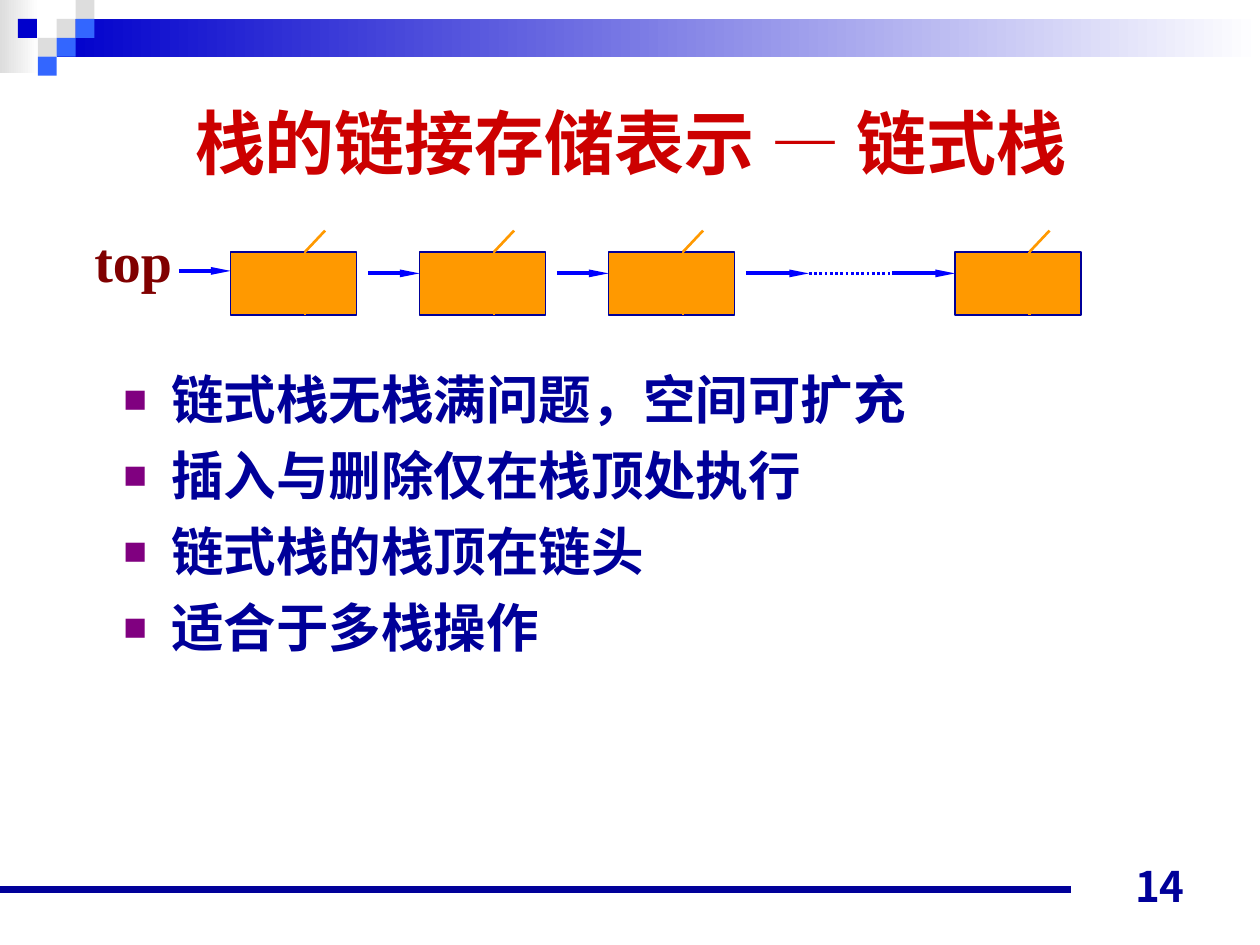
"""Build the slide on the linked representation of a stack."""
from dataclasses import dataclass

from lxml import etree
from pptx import Presentation
from pptx import util as u
from pptx.dml.color import RGBColor
from pptx.enum import dml, shapes, text
from pptx.oxml.ns import qn


@dataclass(frozen=True)
class Theme:
    white: str = "FFFFFF"
    grey: str = "DDDDDD"
    blue: str = "0000CC"
    light_blue: str = "3366FF"
    navy: str = "000099"
    red: str = "CC0000"
    maroon: str = "800000"
    purple: str = "800080"
    orange: str = "FF9900"
    arrow: str = "0000FF"
    sans: str = "Noto Sans CJK JP"
    latin: str = "Arial"
    serif: str = "Times New Roman"
    title_size: int = 40
    label_size: int = 32
    body_size: int = 30
    number_size: int = 24


theme = Theme()
prs = Presentation()
prs.slide_width, prs.slide_height = u.Inches(10), u.Inches(7.5)
slide = prs.slides.add_slide(prs.slide_layouts[6])


def add_text(lines, *, at, size, color, font, anchor=text.MSO_ANCHOR.TOP,
             align=text.PP_ALIGN.LEFT, wrap=True, bullet=None, spacing=1.0, before=0):
    frame = slide.shapes.add_textbox(*map(u.Inches, at)).text_frame
    frame.word_wrap, frame.vertical_anchor = wrap, anchor
    frame.text = lines
    for index, paragraph in enumerate(frame.paragraphs):
        paragraph.alignment, paragraph.line_spacing = align, spacing
        paragraph.space_before = u.Pt(before if index else 0)
        if bullet:
            props = paragraph._p.get_or_add_pPr()
            props.set("marL", str(u.Inches(0.38)))
            props.set("indent", str(u.Inches(-0.38)))
            tint = etree.SubElement(props, qn("a:buClr"))
            etree.SubElement(tint, qn("a:srgbClr"), val=bullet)
            etree.SubElement(props, qn("a:buSzPct"), val="75000")
            etree.SubElement(props, qn("a:buFont"), typeface=theme.latin)
            etree.SubElement(props, qn("a:buChar"), char="■")
        for run in paragraph.runs:
            run.font.size, run.font.bold, run.font.name = u.Pt(size), True, font
            run.font.color.rgb = RGBColor.from_string(color)
            etree.SubElement(run._r.get_or_add_rPr(), qn("a:ea"), typeface=theme.sans)


def add_line(x1, y1, x2, y2, color, width, arrow=False):
    line = slide.shapes.add_connector(
        shapes.MSO_CONNECTOR.STRAIGHT, *map(u.Inches, (x1, y1, x2, y2)))
    line.line.color.rgb = RGBColor.from_string(color)
    line.line.width = u.Pt(width)
    if arrow:
        etree.SubElement(line.line._get_or_add_ln(), qn("a:tailEnd"),
                         type="triangle", w="sm", len="lg")
    etree.SubElement(line._element.spPr, qn("a:effectLst"))
    return line


for left, top, width, height, color in [(0, 0, 0.31, 0.58, theme.grey),
                                        (0.45, 0.15, 9.55, 0.3, theme.blue)]:
    band = slide.shapes.add_shape(
        shapes.MSO_SHAPE.RECTANGLE, *map(u.Inches, (left, top, width, height)))
    band.shadow.inherit = False
    band.line.fill.background()
    band.fill.gradient()
    band.fill.gradient_angle = 180
    for stop, stop_color, position in zip(band.fill.gradient_stops, (theme.white, color), (0, 1)):
        stop.color.rgb = RGBColor.from_string(stop_color)
        stop.position = position

tile = 0.15
for column, row, color in [(3, 1, theme.grey), (4, 0, theme.grey), (4, 1, theme.light_blue),
                           (2, 2, theme.grey), (0.95, 1, theme.blue),
                           (3, 2, theme.light_blue), (2, 3, theme.light_blue)]:
    square = slide.shapes.add_shape(
        shapes.MSO_SHAPE.RECTANGLE,
        *map(u.Inches, (column * tile, row * tile, tile, tile)))
    square.shadow.inherit = False
    square.fill.solid()
    square.fill.fore_color.rgb = RGBColor.from_string(color)
    square.line.fill.background()

add_line(0, 7.06, 8.5, 7.06, theme.navy, 4.5)

add_text("栈的链接存储表示 — 链式栈", at=(1.45, 0.71, 7.44, 0.83), size=theme.title_size,
         color=theme.red, font=theme.sans, anchor=text.MSO_ANCHOR.MIDDLE)
add_text("链式栈无栈满问题，空间可扩充\n插入与删除仅在栈顶处执行\n链式栈的栈顶在链头\n适合于多栈操作",
         at=(0.88, 2.84, 8.25, 2.92), size=theme.body_size, color=theme.navy,
         font=theme.latin, bullet=theme.purple, spacing=1.05, before=5.6)
add_text("top", at=(0.65, 1.75, 0.82, 0.64), size=theme.label_size,
         color=theme.maroon, font=theme.serif, wrap=False)

node_top, node_height = 2, 0.5
for node_left in (1.83, 3.33, 4.83, 7.58):
    node = slide.shapes.add_shape(
        shapes.MSO_SHAPE.RECTANGLE,
        *map(u.Inches, (node_left, node_top, 1, node_height)))
    node.shadow.inherit = False
    node.fill.solid()
    node.fill.fore_color.rgb = RGBColor.from_string(theme.orange)
    node.line.color.rgb = RGBColor.from_string(theme.navy)
    node.line.width = u.Pt(0.75)
    divider = node_left + 0.59
    add_line(divider, node_top, divider, node_top + node_height, theme.orange, 1.5)
    add_line(divider, node_top, divider + 0.16, 1.83, theme.orange, 1.5)

link_y = 2.17
for start, end, y in [(1.42, 1.83, 2.15), (2.92, 3.33, link_y), (4.42, 4.83, link_y),
                      (5.92, 6.42, link_y), (7.08, 7.58, link_y)]:
    add_line(start, y, end, y, theme.arrow, 2.25, arrow=True)
omitted_nodes = add_line(6.42, link_y, 7.08, link_y, theme.arrow, 1.5)
omitted_nodes.line.dash_style = dml.MSO_LINE.ROUND_DOT

add_text("14", at=(7.17, 6.78, 2.33, 0.5), size=theme.number_size, color=theme.navy,
         font=theme.sans, anchor=text.MSO_ANCHOR.BOTTOM, align=text.PP_ALIGN.RIGHT)

prs.save("out.pptx")
